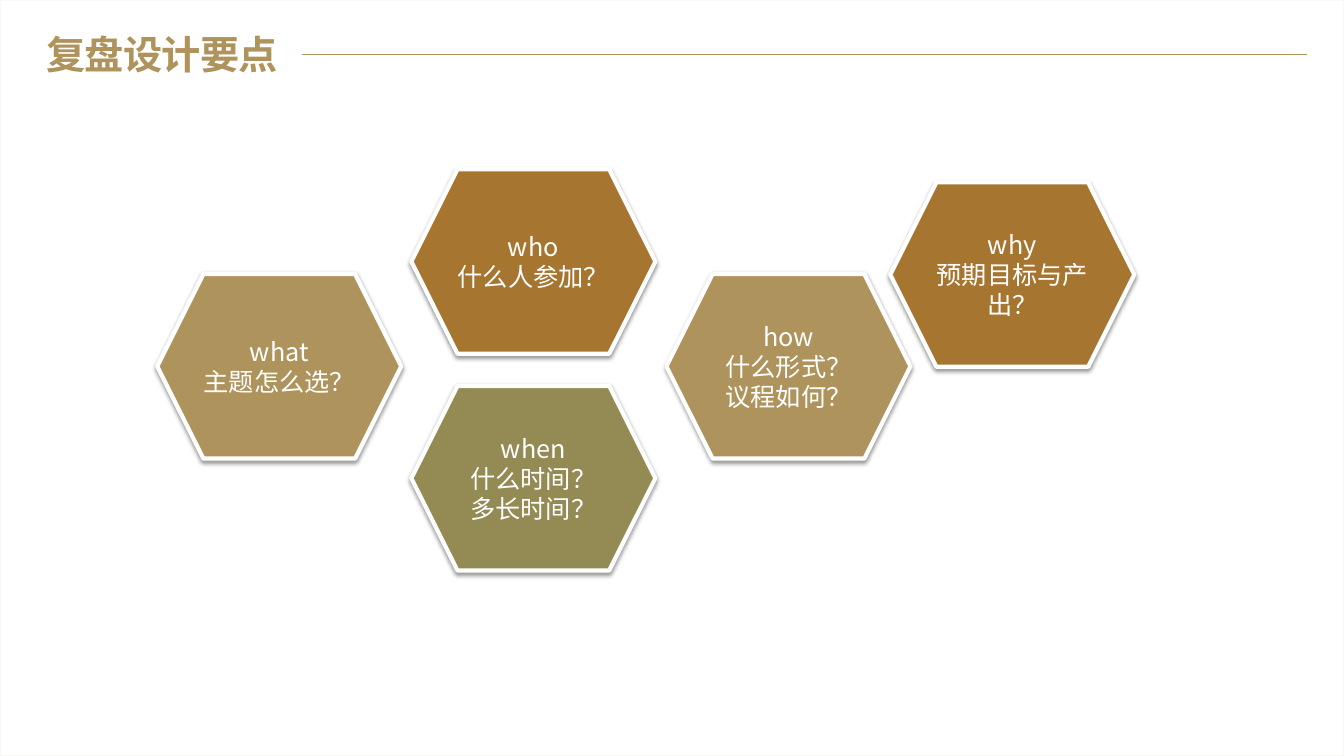
from lxml import etree
from pptx import Presentation
from pptx import util as u
from pptx.dml import color
from pptx.enum import shapes, text
from pptx.oxml import ns

SAND = color.RGBColor(0xAF, 0x93, 0x5C)
BRONZE = color.RGBColor(0xA6, 0x75, 0x30)
OLIVE = color.RGBColor(0x94, 0x8A, 0x54)
WHITE = color.RGBColor(0xFF, 0xFF, 0xFF)
PALE = color.RGBColor(0xF8, 0xF8, 0xF7)
FONT = "Noto Sans CJK SC"

TITLE = "复盘设计要点"
QUESTIONS = [
    (1.56, 2.72, SAND, ["what", "主题怎么选？"]),
    (4.08, 1.68, BRONZE, ["who", "什么人参加？"]),
    (4.08, 3.83, OLIVE, ["when", "什么时间？", "多长时间？"]),
    (6.61, 2.72, SAND, ["how", "什么形式？", "议程如何？"]),
    (8.83, 1.81, BRONZE, ["why", "预期目标与产出？"]),
]
HEXAGON_SIZE = (2.42, 1.83)
TITLE_AREA = (0.46, 0.3, 3.79, 0.47)
RULE = (3, 0.54, 12.96, 0.54)
TITLE_FORMAT = {"name": FONT, "size": u.Pt(28), "bold": True}
LABEL_FORMAT = {"name": FONT, "size": u.Pt(18)}
TITLE_FRAME = {
    "margin_left": 0, "margin_top": 0, "margin_right": 0, "margin_bottom": 0,
    "word_wrap": True, "vertical_anchor": text.MSO_ANCHOR.TOP,
    "auto_size": text.MSO_AUTO_SIZE.NONE,
}


def inches(values):
    return [u.Inches(value) for value in values]


def set_values(target, values):
    for name, value in values.items():
        setattr(target, name, value)


def add_element(parent, tag, **values):
    element = etree.SubElement(parent, ns.qn(tag))
    for name, value in values.items():
        element.set(name, str(value))
    return element


def write(para, words, values, ink):
    para.text = words
    span = para.runs[0]
    set_values(span.font, values)
    span.font.color.rgb = ink
    add_element(span.font._element, "a:ea", typeface=FONT)
    return span


def set_line(line, ink, width):
    line.color.rgb = ink
    line.width = u.Pt(width)


def add_shadow(shape):
    effects = shape._element.spPr.find(ns.qn("a:effectLst"))
    shadow = add_element(effects, "a:outerShdw", blurRad=u.Pt(3.1), dist=u.Pt(1.6),
                         dir=90 * 60000, rotWithShape=0)
    ink = add_element(shadow, "a:srgbClr", val="000000")
    add_element(ink, "a:alpha", val=38000)


def add_question(page, left, top, fill, lines):
    hexagon = page.shapes.add_shape(
        shapes.MSO_SHAPE.HEXAGON, *inches((left, top, *HEXAGON_SIZE)))
    hexagon.fill.solid()
    hexagon.fill.fore_color.rgb = fill
    set_line(hexagon.line, WHITE, 3)
    hexagon.shadow.inherit = False
    add_shadow(hexagon)
    frame = hexagon.text_frame
    set_values(frame, {"word_wrap": True, "vertical_anchor": text.MSO_ANCHOR.MIDDLE})
    for index, words in enumerate(lines):
        para = frame.add_paragraph() if index else frame.paragraphs[0]
        para.alignment = text.PP_ALIGN.CENTER
        write(para, words, LABEL_FORMAT, WHITE)


def add_title(page):
    box = page.shapes.title
    set_values(box, dict(zip(("left", "top", "width", "height"), inches(TITLE_AREA))))
    set_values(box.text_frame, TITLE_FRAME)
    para = box.text_frame.paragraphs[0]
    para.alignment = text.PP_ALIGN.LEFT
    span = write(para, TITLE, TITLE_FORMAT, SAND)
    span.font._element.set("spc", "-50")


def main():
    deck = Presentation()
    deck.slide_width, deck.slide_height = inches((13.33, 7.5))
    page = deck.slides.add_slide(deck.slide_layouts[5])
    border = page.shapes.add_shape(
        shapes.MSO_SHAPE.RECTANGLE, 0, 0, deck.slide_width, deck.slide_height)
    border.fill.background()
    border.shadow.inherit = False
    set_line(border.line, PALE, 0.96)
    for question in QUESTIONS:
        add_question(page, *question)
    add_title(page)
    rule = page.shapes.add_connector(shapes.MSO_CONNECTOR.STRAIGHT, *inches(RULE))
    set_line(rule.line, SAND, 1)
    add_element(rule._element.spPr, "a:effectLst")
    deck.save("out.pptx")


if __name__ == "__main__":
    main()
